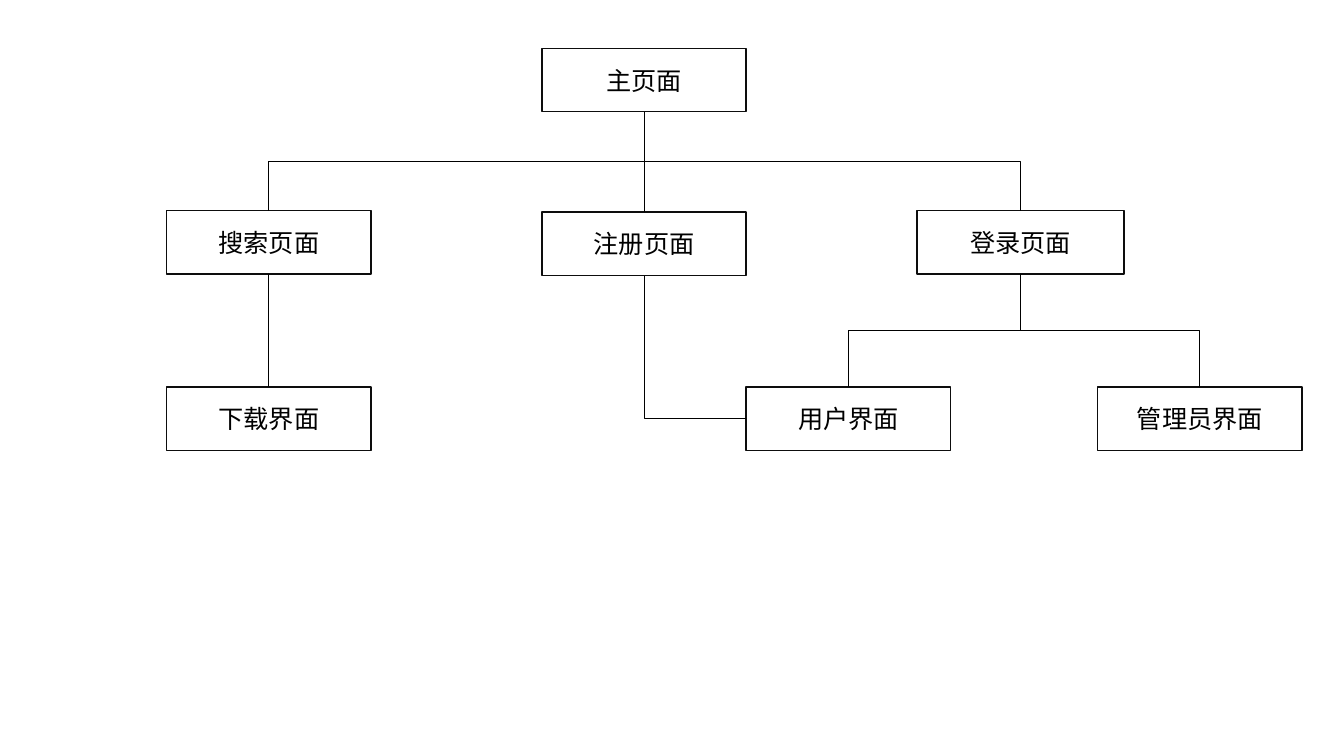
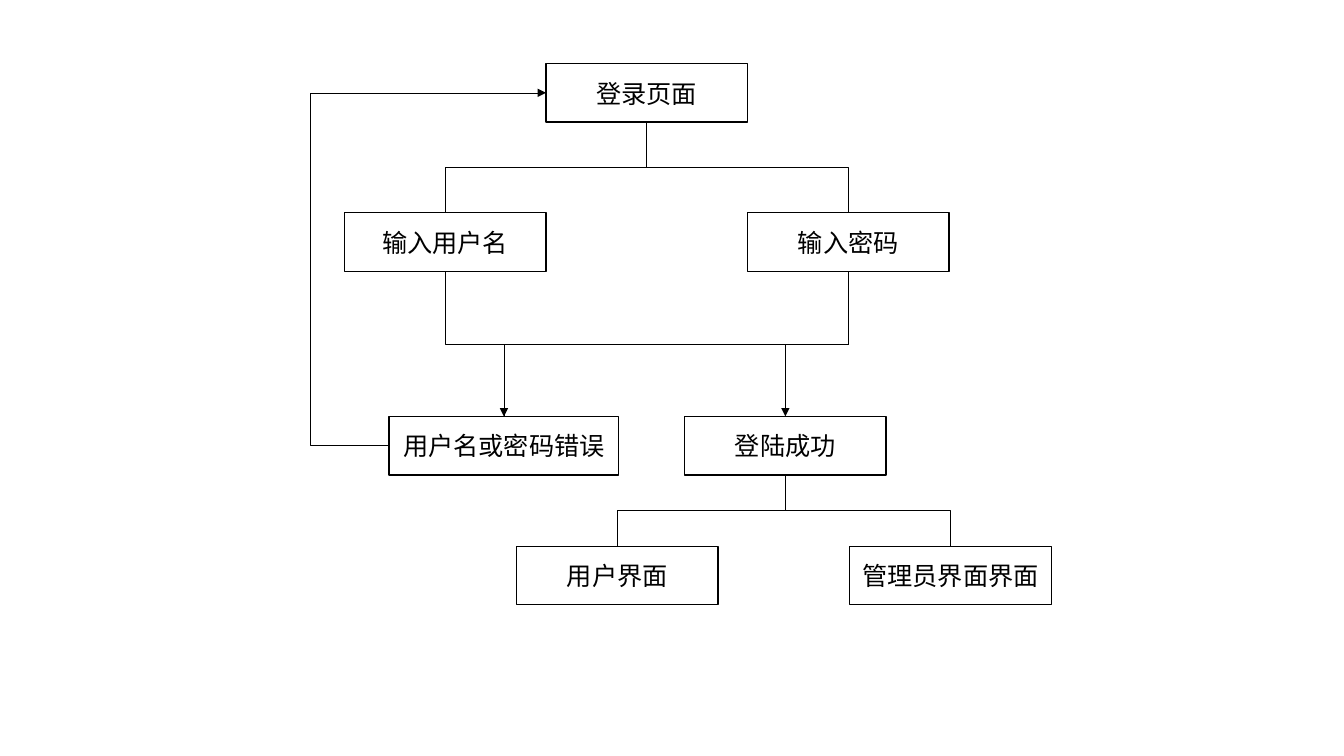
from lxml.etree import SubElement
from pptx import Presentation
from pptx.dml.color import RGBColor
from pptx.enum.shapes import MSO_CONNECTOR as Connector, MSO_SHAPE as Shape
from pptx.enum.text import MSO_ANCHOR as Anchor, PP_ALIGN as Align
from pptx.oxml.ns import qn
from pptx.util import Pt

BLACK = RGBColor(0x00, 0x00, 0x00)
NEAR_BLACK = RGBColor(0x0D, 0x0D, 0x0D)
WHITE = RGBColor(0xFF, 0xFF, 0xFF)
FONT = "Calibri"
LEFT, BOTTOM, TOP = 1, 2, 0


def add_box(slide, text, center, top, width, height, outline):
    """Add a white outlined box with centred text, placed by its centre line."""
    box = slide.shapes.add_shape(
        Shape.RECTANGLE, Pt(center - width / 2), Pt(top), Pt(width), Pt(height))
    box.shadow.inherit = False
    box.fill.solid()
    box.fill.fore_color.rgb = WHITE
    box.line.color.rgb = outline
    box.line.width = Pt(1)
    frame = box.text_frame
    frame.word_wrap = True
    frame.vertical_anchor = Anchor.MIDDLE
    paragraph = frame.paragraphs[0]
    paragraph.text = text
    paragraph.alignment = Align.CENTER
    paragraph.font.name = FONT
    paragraph.font.size = Pt(18)
    paragraph.font.color.rgb = BLACK
    return box


def join(slide, start, end, kind=Connector.ELBOW, sides=(BOTTOM, TOP), arrow=False):
    """Glue a thin connector to the given sides of two boxes."""
    connector = slide.shapes.add_connector(kind, 0, 0, 0, 0)
    connector.begin_connect(start, sides[0])
    connector.end_connect(end, sides[1])
    connector.line.color.rgb = BLACK
    connector.line.width = Pt(0.5)
    properties = connector.element.spPr
    if arrow:
        SubElement(properties.find(qn("a:ln")), qn("a:tailEnd"), type="triangle")
    SubElement(properties, qn("a:effectLst"))
    return connector


def drop(slide, start, end, **options):
    """Join two boxes with an elbow that leaves the first one downwards."""
    connector = join(slide, start, end, **options)
    x1, y1 = connector.begin_x, connector.begin_y
    x2, y2 = connector.end_x, connector.end_y
    width, height = abs(x2 - x1), y2 - y1
    connector.left = (x1 + x2 - height) // 2
    connector.top = (y1 + y2 - width) // 2
    connector.width, connector.height = height, width
    rightward = x2 > x1
    frame = connector.element.spPr.find(qn("a:xfrm"))
    frame.set("rot", str((270 if rightward else 90) * 60000))
    frame.set("flipH", "1" if rightward else "0")
    frame.set("flipV", "0")
    return connector


def draw_site_map(slide, left, top):
    """Draw the page hierarchy from the given corner."""
    def page(text, center, offset, width=146):
        return add_box(slide, text, left + center, top + offset, width, 45.4, NEAR_BLACK)

    home = page("主页面", 342, 0)
    search = page("搜索页面", 74, 116)
    login = page("登录页面", 611, 116, 148)
    register = page("注册页面", 342, 117)
    user = page("用户界面", 488, 242)
    admin = page("管理员界面", 739, 242)
    download = page("下载界面", 74, 242)

    for parent, child in ((home, search), (home, login), (login, user), (login, admin)):
        drop(slide, parent, child)
    for parent, child in ((home, register), (search, download)):
        join(slide, parent, child, Connector.STRAIGHT)
    corner = drop(slide, register, user, sides=(BOTTOM, LEFT))
    corner.element.spPr.find(qn("a:prstGeom")).set("prst", "bentConnector2")


def draw_login_flow(slide, left, top):
    """Draw the login flow, with its return loop, from the given corner."""
    def step(text, center, offset, width=144):
        return add_box(slide, text, left + center, top + offset, width, 41.8, BLACK)

    login = step("登录页面", 241, 0)
    username = step("输入用户名", 97, 106.5)
    password = step("输入密码", 385, 106.5)
    failure = step("用户名或密码错误", 139, 252, 164)
    success = step("登陆成功", 340, 252)
    user = step("用户界面", 220, 344.7)
    admin = step("管理员界面界面", 458, 344.7)

    for parent, child in ((login, username), (login, password), (password, failure),
                          (success, user), (success, admin)):
        drop(slide, parent, child)
    for parent, child in ((username, failure), (password, success)):
        drop(slide, parent, child, arrow=True)
    loop = join(slide, failure, login, sides=(LEFT, LEFT), arrow=True)
    adjustments = loop.element.spPr.find(qn("a:prstGeom")).find(qn("a:avLst"))
    SubElement(adjustments, qn("a:gd"), name="adj1", fmla="val -50200")


def main():
    """Build and save both diagrams."""
    presentation = Presentation()
    presentation.slide_width, presentation.slide_height = Pt(960), Pt(540)
    blank = presentation.slide_layouts[6]
    draw_site_map(presentation.slides.add_slide(blank), 118, 34.5)
    draw_login_flow(presentation.slides.add_slide(blank), 221, 45.5)
    presentation.save("out.pptx")


if __name__ == "__main__":
    main()
